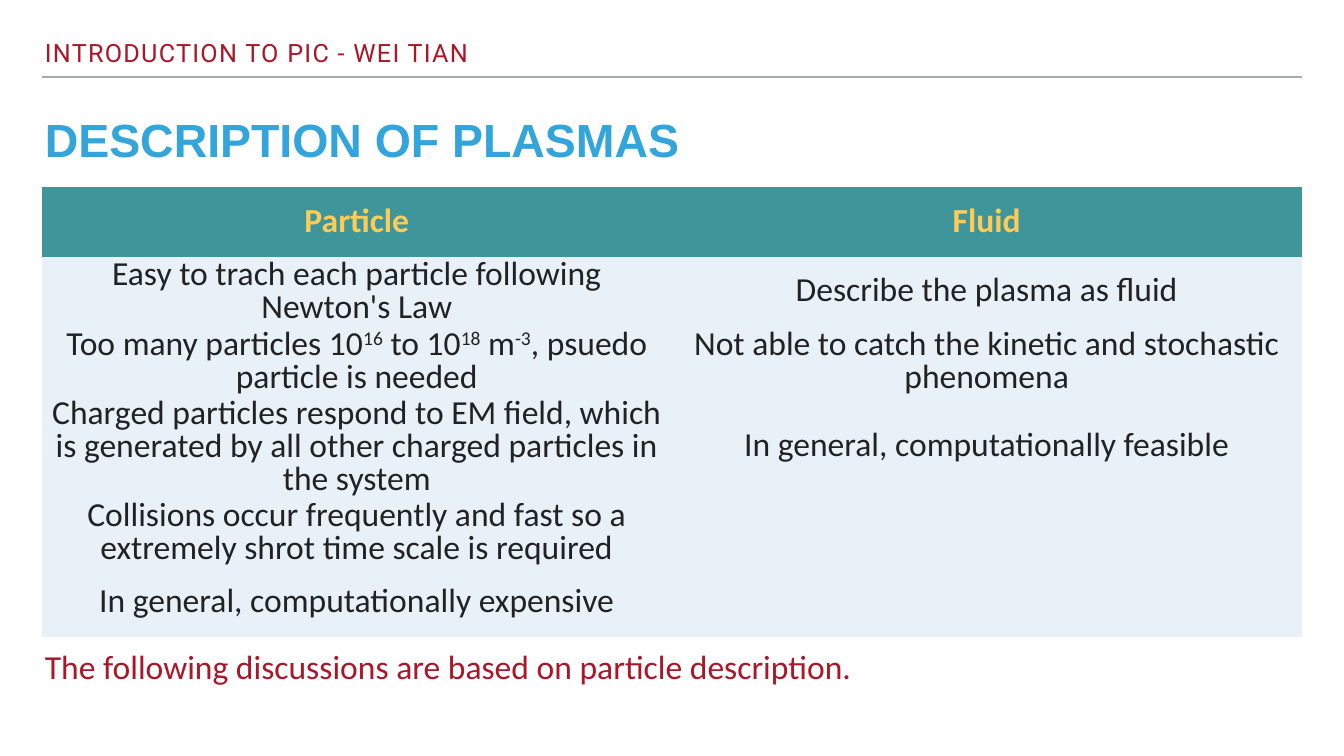
from lxml import etree
from pptx import Presentation
from pptx.dml.color import RGBColor
from pptx.enum.shapes import MSO_CONNECTOR as Connector
from pptx.enum.text import MSO_ANCHOR as Anchor, PP_ALIGN as Align
from pptx.oxml.ns import qn
from pptx.util import Inches, Pt

RED, BLUE, TEAL = "AA1728", "34A5DA", "3F969A"
YELLOW, INK, PALE, GRAY = "FDCB56", "222222", "E8F0F8", "A6AAA9"
LEFT, WIDTH = 0.83, 25

# Text between ^ marks is superscript
ROWS = [
    ("Particle", "Fluid"),
    ("Easy to trach each particle following Newton's Law",
     "Describe the plasma as fluid"),
    ("Too many particles 10^16^ to 10^18^ m^-3^, psuedo particle is needed",
     "Not able to catch the kinetic and stochastic phenomena"),
    ("Charged particles respond to EM field, which is generated by all "
     "other charged particles in the system",
     "In general, computationally feasible"),
    ("Collisions occur frequently and fast so a extremely shrot time scale "
     "is required", ""),
    ("In general, computationally expensive", ""),
]


def color(value):
    return RGBColor.from_string(value)


def write(frame, text, size=48, font="Calibri", fill=INK, bold=False,
          align=Align.LEFT, line_spacing=None, tracking=None):
    paragraph = frame.paragraphs[0]
    paragraph.alignment = align
    if line_spacing:
        paragraph.line_spacing = line_spacing
    for index, part in enumerate(text.split("^")):
        run = paragraph.add_run()
        run.text = part
        run.font.size = Pt(size)
        run.font.name = font
        run.font.bold = bold
        run.font.color.rgb = color(fill)
        properties = run._r.get_or_add_rPr()
        if index % 2:
            properties.set("baseline", "30000")
        if tracking:
            properties.set("spc", str(int(tracking * 100)))


def add_text(slide, box, text, anchor=Anchor.TOP, **text_format):
    shape = slide.shapes.add_textbox(*map(Inches, box))
    frame = shape.text_frame
    frame.word_wrap = True
    frame.vertical_anchor = anchor
    frame.margin_left = frame.margin_right = Inches(0.06)
    frame.margin_top = frame.margin_bottom = Inches(0.06)
    write(frame, text, **text_format)


def add_header(slide, left, top, width, height):
    # Running title above a thin rule
    add_text(slide, (left, top, 22.92, 0.6), "INTRODUCTION TO PIC - WEI TIAN",
             anchor=Anchor.BOTTOM, size=36, font="Roboto", fill=RED,
             line_spacing=0.8, tracking=1.8)
    bottom = Inches(top + height)
    rule = slide.shapes.add_connector(
        Connector.STRAIGHT, Inches(left), bottom, Inches(left + width), bottom)
    rule.line.color.rgb = color(GRAY)
    rule.line.width = Pt(2)
    etree.SubElement(rule._element.spPr, qn("a:effectLst"))


def add_comparison(slide, left, top, width, row_height):
    shape = slide.shapes.add_table(
        len(ROWS), 2, Inches(left), Inches(top), Inches(width),
        Inches(row_height * len(ROWS)))
    table = shape.table
    for row_index, texts in enumerate(ROWS):
        heading = row_index == 0
        for column_index, text in enumerate(texts):
            cell = table.cell(row_index, column_index)
            cell.fill.solid()
            cell.fill.fore_color.rgb = color(TEAL if heading else PALE)
            cell.vertical_anchor = Anchor.MIDDLE
            if text:
                write(cell.text_frame, text, fill=YELLOW if heading else INK,
                      bold=heading, align=Align.CENTER, line_spacing=0.8)
    # Plain table style: no grid, no banding
    table.horz_banding = False
    style = shape._element.find(".//" + qn("a:tableStyleId"))
    style.text = "{2D5ABB26-0587-4C30-8999-92F81FD0307C}"


def main():
    presentation = Presentation()
    presentation.slide_width = Inches(26.67)
    presentation.slide_height = Inches(15)
    slide = presentation.slides.add_slide(presentation.slide_layouts[6])

    add_header(slide, LEFT, 0.79, WIDTH, 0.74)
    # Title
    add_text(slide, (LEFT, 2.36, WIDTH, 1.11), "DESCRIPTION OF PLASMAS",
             size=66.4, font="Arial", fill=BLUE, bold=True, line_spacing=0.8)
    add_comparison(slide, LEFT, 3.72, WIDTH, 1.38)
    # Closing remark
    add_text(slide, (LEFT, 12.76, WIDTH, 0.92),
             "The following discussions are based on particle description.",
             fill=RED)

    presentation.save("out.pptx")


if __name__ == "__main__":
    main()
